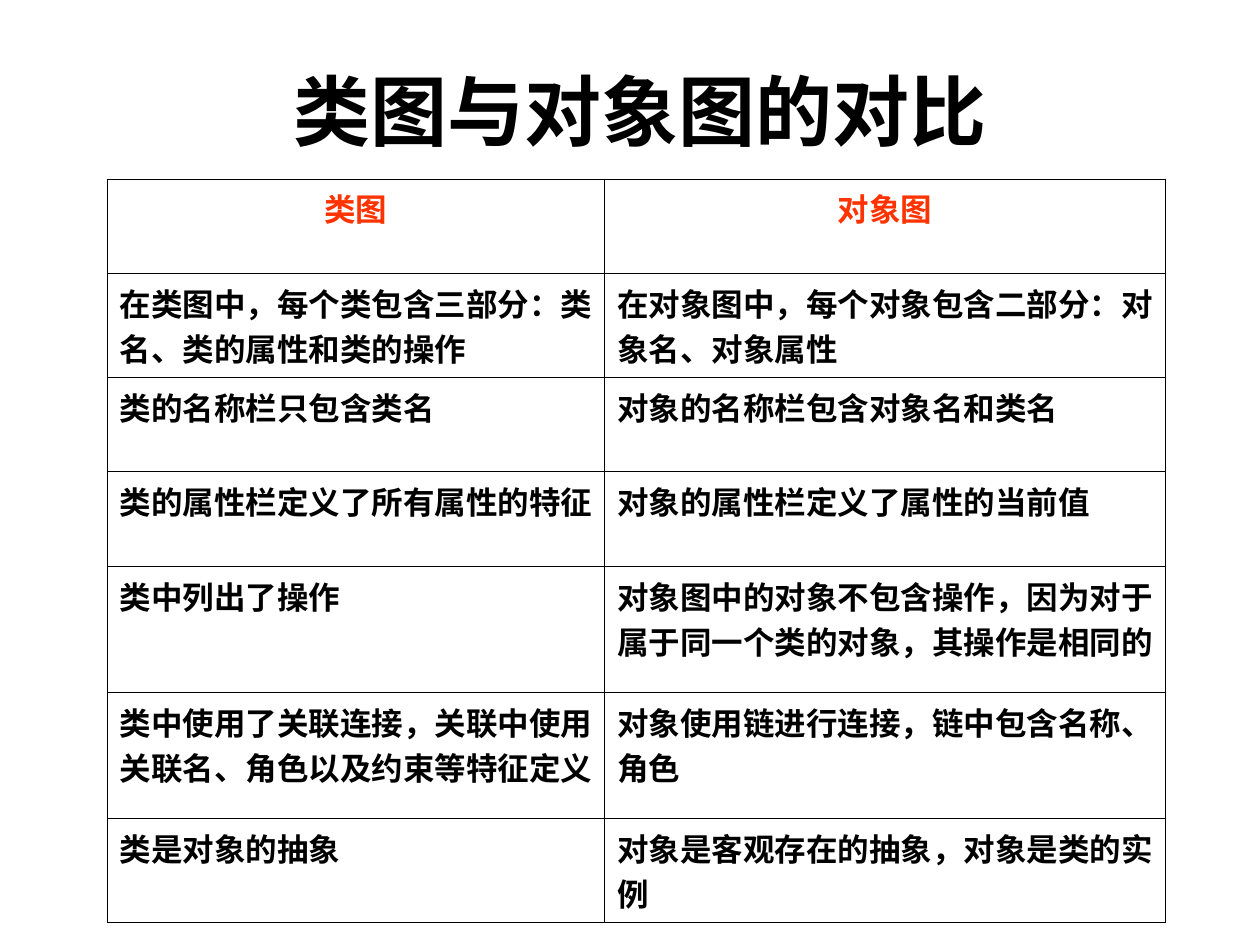
import lxml.etree
import pptx
import pptx.dml.color
import pptx.enum.text
import pptx.oxml.ns
import pptx.util

Inches = pptx.util.Inches
Pt = pptx.util.Pt
ALIGN = pptx.enum.text.PP_ALIGN
ANCHOR = pptx.enum.text.MSO_ANCHOR

COLORS = {"text": "000000", "header": "FF3300", "border": "000000", "background": "FFFFFF"}
COLUMN_WIDTHS = [3.95, 4.45]
ROW_HEIGHTS = [0.75, 0.75, 0.75, 0.75, 1, 1, 0.75]
COMPARISON = [
    ("类图", "对象图"),
    ("在类图中，每个类包含三部分：类名、类的属性和类的操作",
     "在对象图中，每个对象包含二部分：对象名、对象属性"),
    ("类的名称栏只包含类名", "对象的名称栏包含对象名和类名"),
    ("类的属性栏定义了所有属性的特征", "对象的属性栏定义了属性的当前值"),
    ("类中列出了操作", "对象图中的对象不包含操作，因为对于属于同一个类的对象，其操作是相同的"),
    ("类中使用了关联连接，关联中使用关联名、角色以及约束等特征定义",
     "对象使用链进行连接，链中包含名称、角色"),
    ("类是对象的抽象", "对象是客观存在的抽象，对象是类的实例"),
]


class SlideBuilder:
    title_font = "Arial"
    table_font = "Times New Roman"
    border_width = Pt(0.45)

    def __init__(self, slide):
        self.slide = slide

    def color(self, name):
        return pptx.dml.color.RGBColor.from_string(COLORS[name])

    def format_paragraph(self, paragraph, font_name, size, color, alignment):
        paragraph.alignment = alignment
        font = paragraph.font
        font.name = font_name
        font.size = Pt(size)
        font.bold = True
        font.color.rgb = self.color(color)

    def add_title(self, text, left, top, width, height):
        title = self.slide.shapes.title
        title.left, title.top = Inches(left), Inches(top)
        title.width, title.height = Inches(width), Inches(height)
        frame = title.text_frame
        frame.text = text
        frame.vertical_anchor = ANCHOR.MIDDLE
        self.format_paragraph(frame.paragraphs[0], self.title_font, 44, "text", ALIGN.CENTER)

    def add_borders(self, cell):
        qualified = pptx.oxml.ns.qn
        properties = cell._tc.get_or_add_tcPr()
        for side in ("a:lnL", "a:lnR", "a:lnT", "a:lnB"):
            line = lxml.etree.SubElement(properties, qualified(side), w=str(self.border_width))
            fill = lxml.etree.SubElement(line, qualified("a:solidFill"))
            lxml.etree.SubElement(fill, qualified("a:srgbClr"), val=COLORS["border"])

    def fill_cell(self, cell, text, is_header):
        self.add_borders(cell)
        cell.fill.solid()
        cell.fill.fore_color.rgb = self.color("background")
        cell.text = text
        color, alignment = ("header", ALIGN.CENTER) if is_header else ("text", ALIGN.LEFT)
        self.format_paragraph(cell.text_frame.paragraphs[0], self.table_font, 18, color, alignment)

    def add_table(self, rows, left, top, column_widths, row_heights):
        table = self.slide.shapes.add_table(
            len(rows), len(column_widths), Inches(left), Inches(top),
            Inches(sum(column_widths)), Inches(sum(row_heights))).table
        table.first_row = False
        table.horz_banding = False
        for column, width in zip(table.columns, column_widths):
            column.width = Inches(width)
        for row_index, (row, height) in enumerate(zip(table.rows, row_heights)):
            row.height = Inches(height)
            for cell, text in zip(row.cells, rows[row_index]):
                self.fill_cell(cell, text, row_index == 0)


def main():
    presentation = pptx.Presentation()
    presentation.slide_width = Inches(10)
    presentation.slide_height = Inches(7.5)
    builder = SlideBuilder(presentation.slides.add_slide(presentation.slide_layouts[5]))
    builder.add_title("类图与对象图的对比", 0.83, 0.33, 8.5, 1.08)
    builder.add_table(COMPARISON, 0.85, 1.42, COLUMN_WIDTHS, ROW_HEIGHTS)
    presentation.save("out.pptx")


if __name__ == "__main__":
    main()
